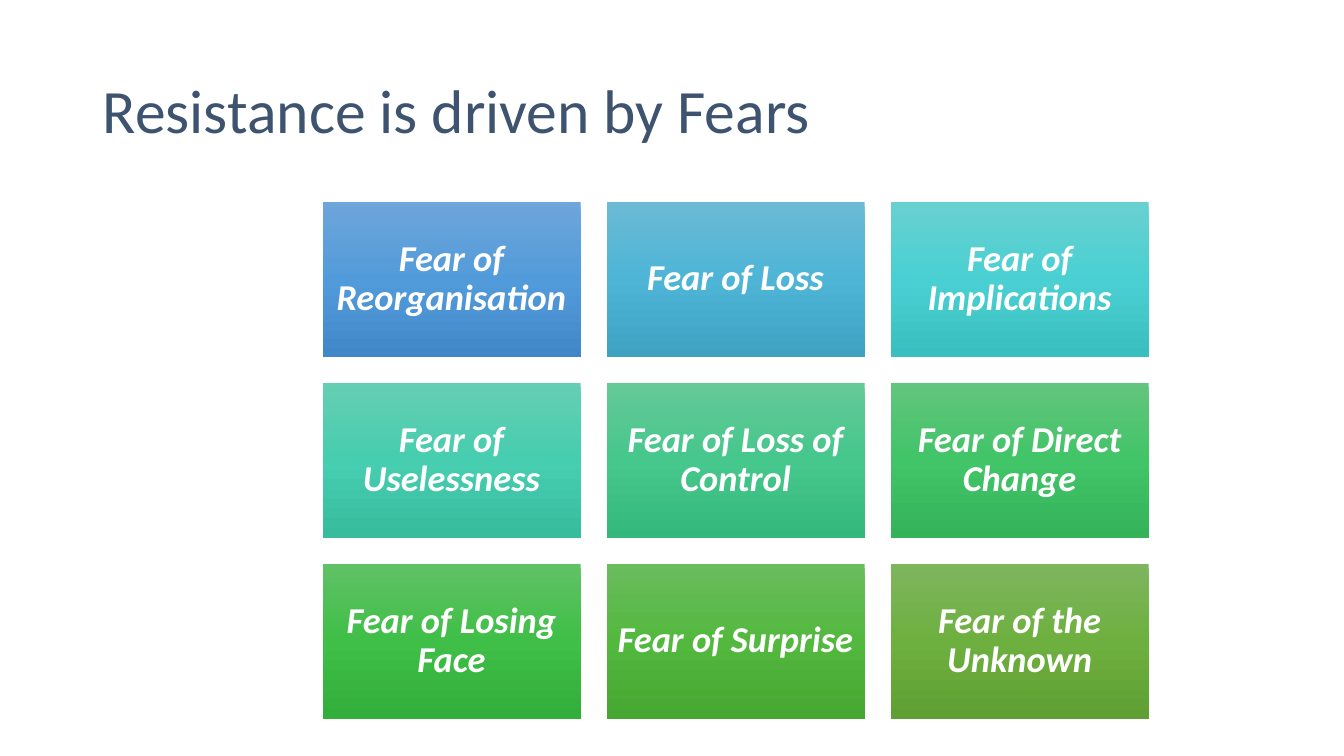
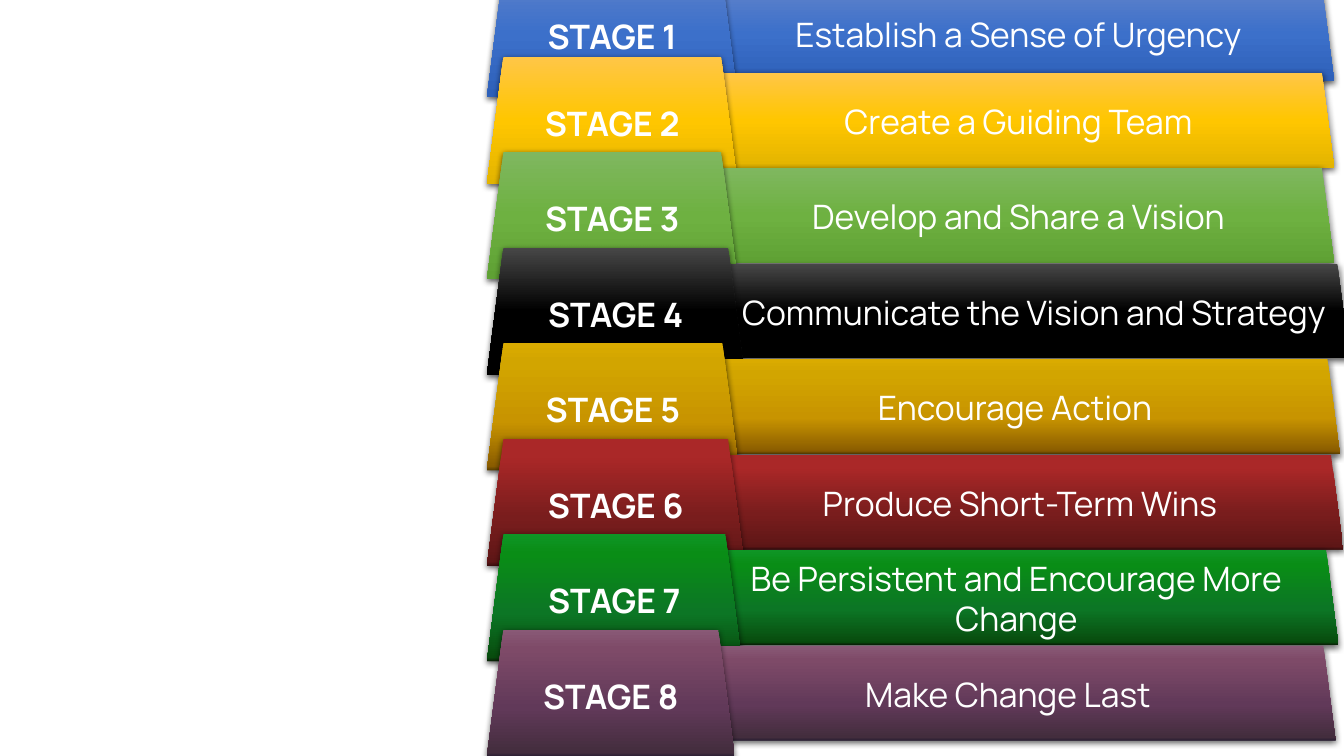
"""Build two slides: the fears behind resistance and the eight stages of change."""
from lxml import etree
from pptx import Presentation
from pptx.dml.color import RGBColor
from pptx.enum.shapes import MSO_SHAPE
from pptx.enum.text import MSO_ANCHOR, MSO_AUTO_SIZE, PP_ALIGN
from pptx.oxml.ns import qn
from pptx.util import Pt

RECTANGLE, TRAPEZOID = MSO_SHAPE.RECTANGLE, MSO_SHAPE.TRAPEZOID
MIDDLE = MSO_ANCHOR.MIDDLE
LEFT, CENTER = PP_ALIGN.LEFT, PP_ALIGN.CENTER
NO_AUTOFIT = MSO_AUTO_SIZE.NONE

COLORS = {"title": "3E536F", "label": "FFFFFF", "shadow": "000000"}
GRADIENTS = {
    "sky": ["6EA5DA", "529BDA", "4188C8"],
    "cyan": ["6CBAD5", "4EB5D6", "3EA2C3"],
    "turquoise": ["69D0D1", "4AD0D2", "3ABFC0"],
    "mint": ["66CEB3", "47CDAF", "37BC9E"],
    "jade": ["65C998", "46C78C", "35B87B"],
    "emerald": ["62C57D", "42C468", "34B35A"],
    "green": ["60C165", "3FBF47", "32AE3A"],
    "leaf": ["6BBC5E", "53B83E", "46A732"],
    "olive": ["7EB55F", "6EB03F", "5F9F34"],
    "blue": ["5F82CA", "3C70CA", "2E60B9"],
    "yellow": ["FFC647", "FFC600", "E3B400"],
    "grass": ["7FB75F", "6EB141", "5FA134"],
    "black": ["474747", "000000", "000000"],
    "gold": ["DAAB00", "D2A500", "C89400", "8A5C00", "5C4000"],
    "red": ["AA2828", "A92727", "791D1D", "5E1616", "3B0D0E"],
    "forest": ["0F9525", "098D16", "0C7625", "084C0E", "0A2307"],
    "purple": ["895976", "7E4A68", "613959", "432D3D", "291E32"],
}
STOPS = {3: (0, 50, 100), 5: (0, 15, 62, 97, 100)}

FEARS_TITLE = "Resistance is driven by Fears"
FEARS = [
    ("Fear of Reorganisation", "sky"),
    ("Fear of Loss", "cyan"),
    ("Fear of Implications", "turquoise"),
    ("Fear of Uselessness", "mint"),
    ("Fear of Loss of Control", "jade"),
    ("Fear of Direct Change", "emerald"),
    ("Fear of Losing Face", "green"),
    ("Fear of Surprise", "leaf"),
    ("Fear of the Unknown", "olive"),
]
FEAR_COLUMNS, FEAR_LEFT, FEAR_TOP = 3, 230.4, 144
FEAR_WIDTH, FEAR_HEIGHT, FEAR_GAP = 184.3, 110.7, 18.6

# stage text, gradient, tag width, band left, band width
STAGES = [
    ("Establish a Sense of Urgency", "blue", 179, 502, 451),
    ("Create a Guiding Team", "yellow", 179, 502, 451),
    ("Develop and Share a Vision", "grass", 179, 502, 451),
    ("Communicate the Vision and Strategy", "black", 184, 513, 451),
    ("Encourage Action", "gold", 180, 493, 464),
    ("Produce Short-Term Wins", "red", 184, 497.5, 462),
    ("Be Persistent and Encourage More Change", "forest", 182, 496, 460),
    ("Make Change Last", "purple", 177, 486, 468),
]
FIRST_BAND_TOP, SECOND_BAND_TOP, STAGE_PITCH = -10, 52, 68.2
BAND_HEIGHT, TAG_HEIGHT, TAG_LEFT, TAG_RISE = 67.7, 90.7, 347.8, 11.5
SLANT = 0.13


def style_text(frame, font, size, color, align, bold=False, italic=False, spacing=1.0):
    frame.word_wrap = True
    frame.vertical_anchor = MIDDLE
    for paragraph in frame.paragraphs:
        paragraph.alignment = align
        paragraph.line_spacing = spacing
        for run in paragraph.runs:
            run.font.name, run.font.size = font, Pt(size)
            run.font.bold, run.font.italic = bold, italic
            run.font.color.rgb = RGBColor.from_string(COLORS[color])


def add_color(parent, color):
    return etree.SubElement(parent, qn("a:srgbClr"), val=color)


def add_panel(slide, preset, box, text, gradient):
    panel = slide.shapes.add_shape(preset, *map(Pt, box))
    panel.shadow.inherit = False
    panel.line.fill.background()
    panel.fill.gradient()
    panel.fill.gradient_angle = 270
    stop_list = panel.element.spPr.find(".//" + qn("a:gsLst"))
    for stop in list(stop_list):
        stop_list.remove(stop)
    colors = GRADIENTS[gradient]
    for position, color in zip(STOPS[len(colors)], colors):
        add_color(etree.SubElement(stop_list, qn("a:gs"), pos=str(position * 1000)), color)
    panel.text_frame.text = text
    return panel


def add_trapezoid(slide, box, text, gradient, bold):
    trapezoid = add_panel(slide, TRAPEZOID, box, text, gradient)
    trapezoid.adjustments[0] = SLANT
    effects = trapezoid.element.spPr.find(qn("a:effectLst"))
    shadow = etree.SubElement(effects, qn("a:outerShdw"), blurRad=str(Pt(4.5)),
                              dist=str(Pt(1.5)), dir="5400000", algn="ctr", rotWithShape="0")
    etree.SubElement(add_color(shadow, COLORS["shadow"]), qn("a:alpha"), val="63000")
    style_text(trapezoid.text_frame, "Manrope", 24, "label", CENTER, bold=bold)


def build_fears(prs):
    slide = prs.slides.add_slide(prs.slide_layouts[5])
    title = slide.shapes.title
    title.left, title.top, title.width, title.height = map(Pt, (66.2, 28.8, 828, 104.4))
    title.text_frame.text = FEARS_TITLE
    title.text_frame.auto_size = NO_AUTOFIT
    style_text(title.text_frame, "Calibri", 44, "title", LEFT, spacing=0.9)
    for index, (fear, gradient) in enumerate(FEARS):
        row, column = divmod(index, FEAR_COLUMNS)
        box = (FEAR_LEFT + column * (FEAR_WIDTH + FEAR_GAP),
               FEAR_TOP + row * (FEAR_HEIGHT + FEAR_GAP), FEAR_WIDTH, FEAR_HEIGHT)
        frame = add_panel(slide, RECTANGLE, box, fear, gradient).text_frame
        frame.margin_left = frame.margin_right = Pt(7.8)
        frame.margin_top = frame.margin_bottom = Pt(7.8)
        style_text(frame, "Calibri", 26, "label", CENTER, bold=True, italic=True, spacing=0.9)


def build_stages(prs):
    slide = prs.slides.add_slide(prs.slide_layouts[6])
    for index, (action, gradient, tag_width, band_left, band_width) in enumerate(STAGES):
        top = SECOND_BAND_TOP + (index - 1) * STAGE_PITCH if index else FIRST_BAND_TOP
        add_trapezoid(slide, (band_left, top, band_width, BAND_HEIGHT), action, gradient, False)
        add_trapezoid(slide, (TAG_LEFT, top - TAG_RISE, tag_width, TAG_HEIGHT),
                      f"STAGE {index + 1}", gradient, True)


def main():
    prs = Presentation()
    prs.slide_width, prs.slide_height = Pt(960), Pt(540)
    build_fears(prs)
    build_stages(prs)
    prs.save("out.pptx")


if __name__ == "__main__":
    main()
